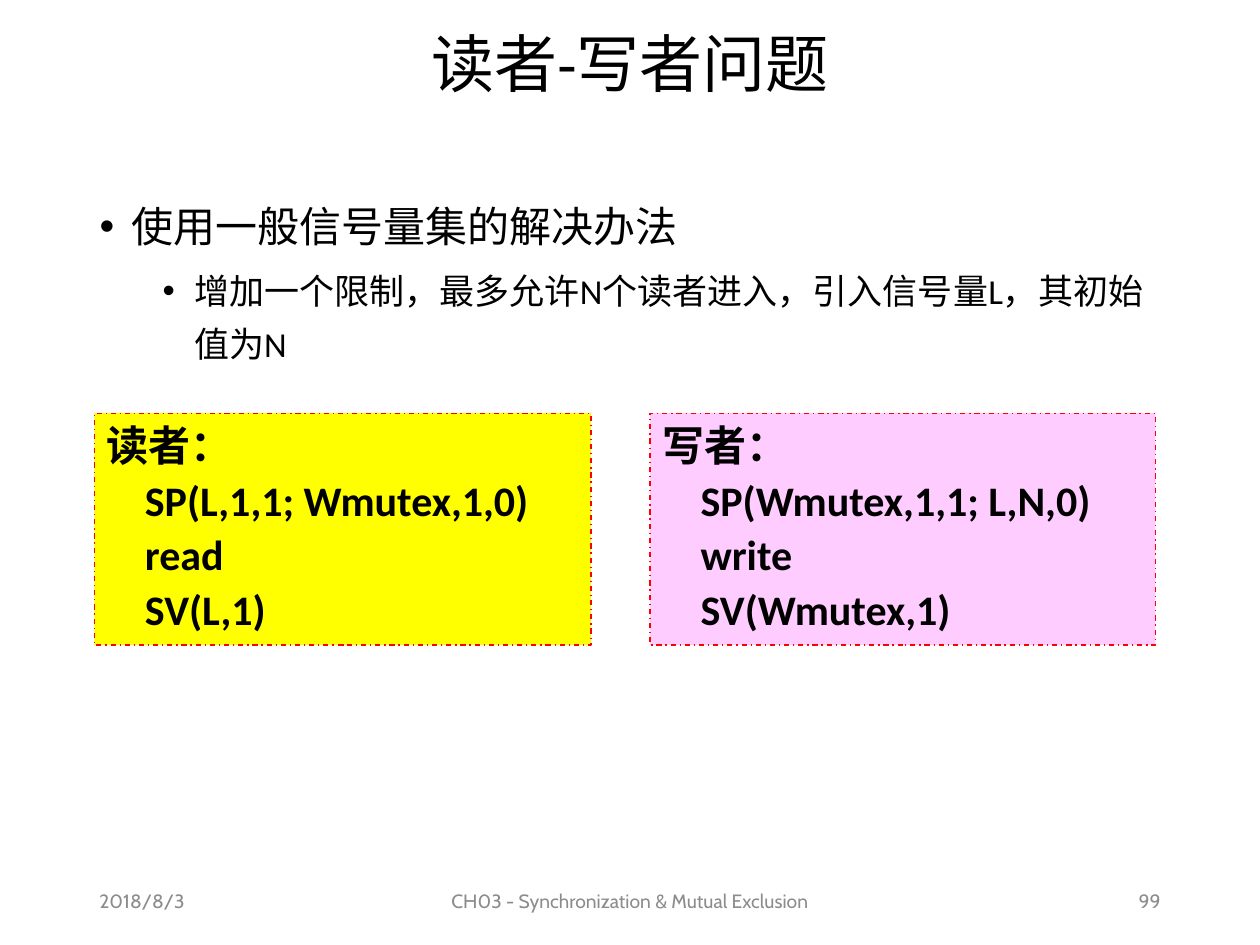
from lxml.etree import SubElement
from pptx import Presentation
from pptx.dml.color import RGBColor
from pptx.enum.dml import MSO_LINE
from pptx.enum.shapes import MSO_SHAPE
from pptx.enum.text import MSO_ANCHOR, MSO_AUTO_SIZE, PP_ALIGN
from pptx.oxml.ns import qn
from pptx.util import Inches, Pt

CJK = "Noto Sans CJK SC"


def rgb(value):
    """Turn a hex string into a colour."""
    return RGBColor.from_string(value)


def place(shape, box):
    """Move a shape to a box of left, top, width and height in inches."""
    shape.left, shape.top, shape.width, shape.height = map(Inches, box)


def add_run(p, text, size, font="Calibri", color="000000", bold=False):
    """Add one formatted run to a paragraph."""
    r = p.add_run()
    r.text = text
    r.font.size, r.font.bold, r.font.name = Pt(size), bold, font
    r.font.color.rgb = rgb(color)
    SubElement(r.font._element, qn("a:ea"), typeface=CJK)


def next_paragraph(tf, index):
    """Return the first paragraph of a frame, or a new one after it."""
    return tf.add_paragraph() if index else tf.paragraphs[0]


def set_bullet(p, indent):
    """Give a paragraph a round bullet hanging a quarter inch."""
    pPr = p._p.get_or_add_pPr()
    pPr.set("marL", str(Inches(indent)))
    pPr.set("indent", str(Inches(-0.25)))
    SubElement(pPr, qn("a:buFont"), typeface="Arial")
    SubElement(pPr, qn("a:buChar"), char="•")


def fill_title(title, box, text):
    """Place and write the title."""
    place(title, box)
    tf = title.text_frame
    tf.auto_size, tf.vertical_anchor = MSO_AUTO_SIZE.NONE, MSO_ANCHOR.MIDDLE
    p = tf.paragraphs[0]
    p.alignment, p.line_spacing = PP_ALIGN.CENTER, 0.9
    add_run(p, text, 36)


def fill_body(body, box, items):
    """Place the body and write its bulleted levels."""
    place(body, box)
    tf = body.text_frame
    tf.auto_size = MSO_AUTO_SIZE.NONE
    for level, (text, size) in enumerate(items):
        p = next_paragraph(tf, level)
        p.level, p.line_spacing = level, 1.25
        p.space_before = Pt(5 * level)
        set_bullet(p, 0.25 + 0.5 * level)
        add_run(p, text, size)


def add_code_box(slide, box, fill, lines):
    """Add a dash-dotted box of bold pseudocode."""
    s = slide.shapes.add_shape(MSO_SHAPE.RECTANGLE, *map(Inches, box))
    s.shadow.inherit = False
    s.fill.solid()
    s.fill.fore_color.rgb = rgb(fill)
    s.line.color.rgb = rgb("FF0000")
    s.line.width, s.line.dash_style = Pt(0.75), MSO_LINE.DASH_DOT
    tf = s.text_frame
    tf.word_wrap, tf.vertical_anchor = True, MSO_ANCHOR.TOP
    tf.auto_size = MSO_AUTO_SIZE.SHAPE_TO_FIT_TEXT
    for i, line in enumerate(lines):
        p = next_paragraph(tf, i)
        p.alignment = PP_ALIGN.LEFT
        p.space_before = Pt(2.4 if i else 0)
        add_run(p, line, 24, bold=True)


def add_footer(slide, box, text, align):
    """Add one grey footer text."""
    tf = slide.shapes.add_textbox(*map(Inches, box)).text_frame
    tf.word_wrap, tf.vertical_anchor = True, MSO_ANCHOR.MIDDLE
    p = tf.paragraphs[0]
    p.alignment = align
    add_run(p, text, 11, "Cabin", "8C8C8C")


def main():
    """Build and save the slide."""
    prs = Presentation()
    prs.slide_width, prs.slide_height = Inches(10), Inches(7.5)
    slide = prs.slides.add_slide(prs.slide_layouts[1])
    fill_title(slide.shapes.title, (0.69, 0.15, 8.62, 0.76), "读者-写者问题")
    fill_body(slide.placeholders[1], (0.69, 1.44, 8.62, 5.38), [
        ("使用一般信号量集的解决办法", 24),
        ("增加一个限制，最多允许N个读者进入，引入信号量L，其初始值为N", 20),
    ])
    for left, width, text, align in (
        (0.69, 2.25, "2018/8/3", PP_ALIGN.LEFT),
        (3.31, 3.38, "CH03 - Synchronization & Mutual Exclusion", PP_ALIGN.CENTER),
        (7.06, 2.25, "99", PP_ALIGN.RIGHT),
    ):
        add_footer(slide, (left, 6.95, width, 0.4), text, align)
    for left, width, fill, lines in (
        (0.75, 3.94, "FFFF00",
         ("读者：", "    SP(L,1,1; Wmutex,1,0)", "    read", "    SV(L,1)")),
        (5.16, 4.01, "FFCCFF",
         ("写者：", "    SP(Wmutex,1,1; L,N,0)", "    write", "    SV(Wmutex,1)")),
    ):
        add_code_box(slide, (left, 3.28, width, 1.84), fill, lines)
    prs.save("out.pptx")


if __name__ == "__main__":
    main()
